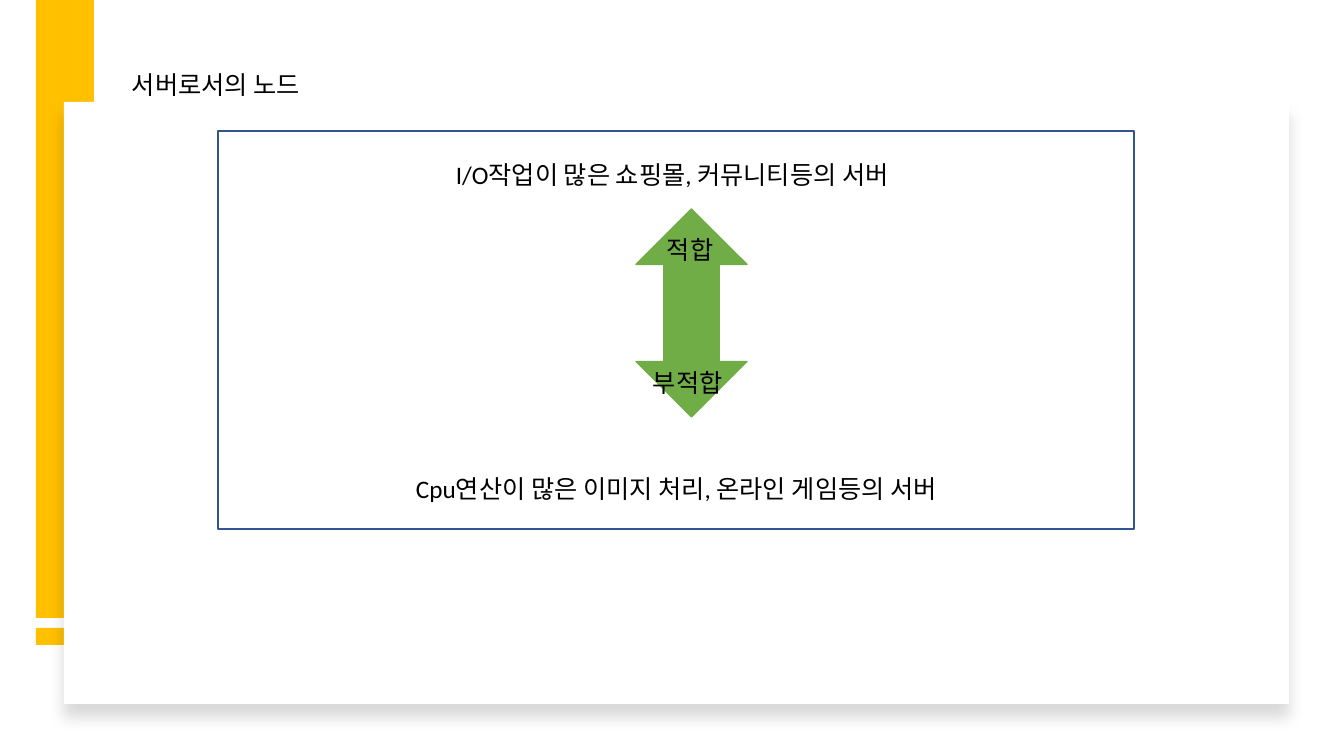
from lxml import etree
from pptx import Presentation
from pptx.dml.color import RGBColor
from pptx.enum.shapes import MSO_SHAPE as Preset
from pptx.enum.text import MSO_AUTO_SIZE as AutoSize
from pptx.oxml.ns import qn
from pptx.util import Pt

SLIDE_WIDTH, SLIDE_HEIGHT = 1344, 756
PX = 12192000 / SLIDE_WIDTH
FONT = "Calibri"
TEXT_HEIGHT = 40
COLORS = {
    "accent": "FFC000",
    "card": "FFFFFF",
    "frame": "325491",
    "arrow": "70AD47",
    "text": "000000",
    "shadow": "000000",
}


def emu(*lengths):
    return [round(length * PX) for length in lengths]


def color(name):
    return RGBColor.from_string(COLORS[name])


def add_shape(slide, preset, box, fill=None, line=None):
    shape = slide.shapes.add_shape(preset, *emu(*box))
    shape.shadow.inherit = False
    if fill:
        shape.fill.solid()
        shape.fill.fore_color.rgb = color(fill)
    else:
        shape.fill.background()
    if line:
        shape.line.color.rgb = color(line)
        shape.line.width = Pt(1)
    else:
        shape.line.fill.background()
    return shape


def add_text(slide, text, box, size=18, fill="text", wrap=True):
    frame = slide.shapes.add_textbox(*emu(*box)).text_frame
    frame.word_wrap = wrap
    frame.auto_size = AutoSize.SHAPE_TO_FIT_TEXT
    run = frame.paragraphs[0].add_run()
    run.text = text
    run.font.size = Pt(size)
    run.font.name = FONT
    run.font.color.rgb = color(fill)


def add_soft_shadow(shape, blur, distance, opacity):
    """Cast a blurred shadow straight down; opacity is in percent."""
    effects = shape._element.spPr.find(qn("a:effectLst"))
    shadow = etree.SubElement(
        effects, qn("a:outerShdw"), blurRad=str(Pt(blur)), dist=str(Pt(distance)),
        dir="5400000", algn="t", rotWithShape="0")
    tint = etree.SubElement(shadow, qn("a:srgbClr"), val=COLORS["shadow"])
    etree.SubElement(tint, qn("a:alpha"), val=str(opacity * 1000))


def draw_side_bar(slide, left, top, width, height):
    """Draw a long bar and, below a gap, a short one."""
    foot, gap = 17, 10
    add_shape(slide, Preset.RECTANGLE,
              (left, top + height - foot, width, foot), fill="accent")
    add_shape(slide, Preset.RECTANGLE,
              (left, top, width, height - foot - gap), fill="accent")


def draw_card(slide, left, top, width, height):
    card = add_shape(slide, Preset.RECTANGLE, (left, top, width, height), fill="card")
    add_soft_shadow(card, blur=11, distance=10, opacity=15)
    add_text(slide, "서버로서의 노드", (left + 58, top - 38, 205, TEXT_HEIGHT), wrap=False)


def draw_comparison(slide, left, top, width, height):
    """Frame the suitable and unsuitable server types with an arrow between them."""
    add_shape(slide, Preset.RECTANGLE, (left, top, width, height), line="frame")
    add_shape(slide, Preset.UP_DOWN_ARROW, (left + 418, top + 78, 111, 208),
              fill="arrow", line="arrow")
    labels = [
        ("I/O작업이 많은 쇼핑몰, 커뮤니티등의 서버", 228, 23, 547),
        ("Cpu연산이 많은 이미지 처리, 온라인 게임등의 서버", 188, 337, 607),
        ("적합", 439, 98, 225),
        ("부적합", 425, 231, 225),
    ]
    for text, across, down, text_width in labels:
        add_text(slide, text, (left + across, top + down, text_width, TEXT_HEIGHT))


def main():
    presentation = Presentation()
    presentation.slide_width, presentation.slide_height = emu(SLIDE_WIDTH, SLIDE_HEIGHT)
    slide = presentation.slides.add_slide(presentation.slide_layouts[6])
    draw_side_bar(slide, 36, 0, 58, 645)
    draw_card(slide, 64, 102, 1225, 602)
    draw_comparison(slide, 218, 131, 916, 398)
    presentation.save("out.pptx")


if __name__ == "__main__":
    main()
